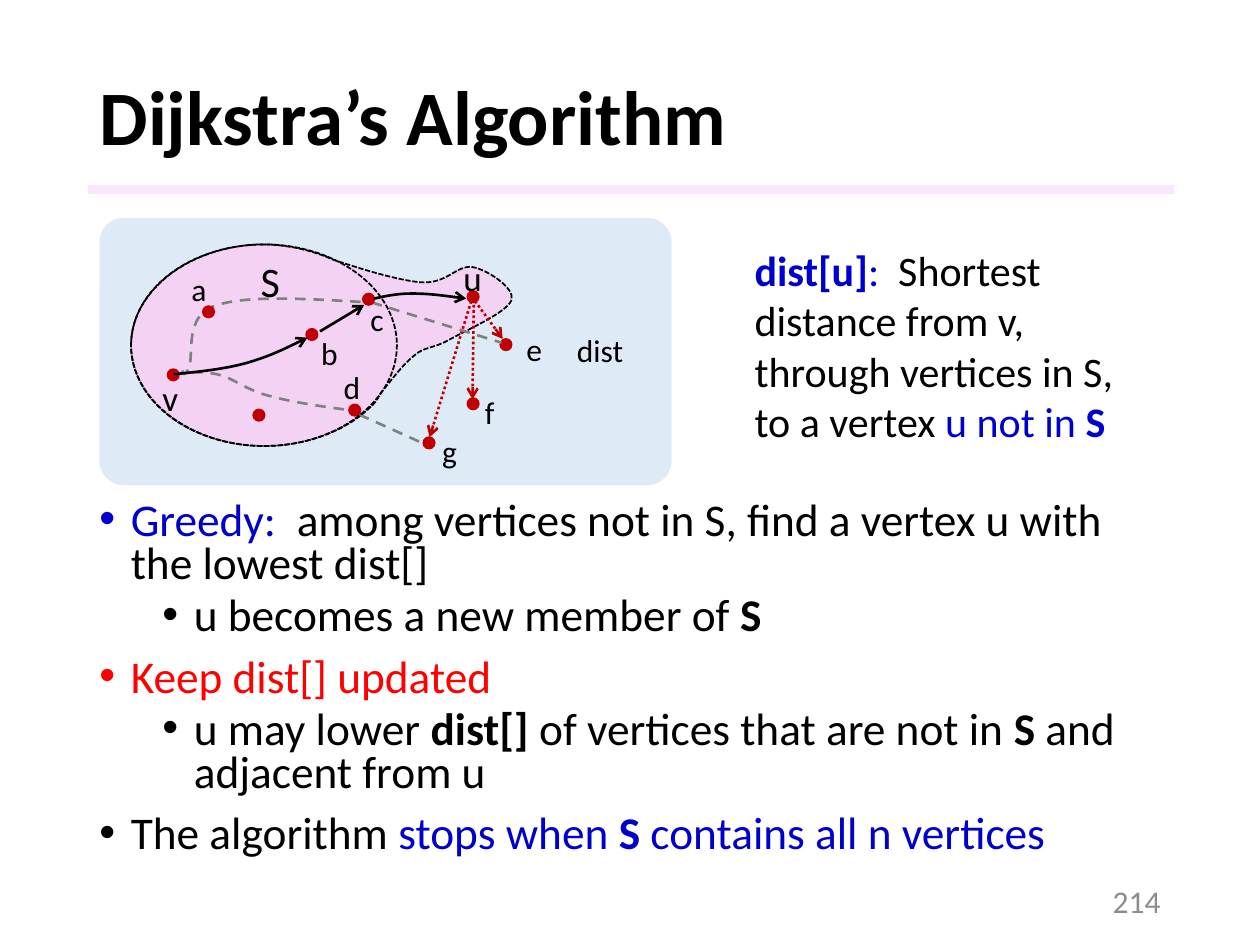
from dataclasses import dataclass
from lxml.etree import SubElement as Sub
from pptx import Presentation
from pptx.dml.color import RGBColor as Rgb
from pptx.enum.dml import MSO_LINE as Dash
from pptx.enum.shapes import MSO_CONNECTOR as Link, MSO_SHAPE as Kind
from pptx.enum.text import MSO_ANCHOR as Anchor, MSO_AUTO_SIZE as Fit, PP_ALIGN as Align
from pptx.oxml.ns import qn
from pptx.util import Pt

PX = 9144  # EMU in one px, 100 px to the inch


@dataclass(frozen=True)
class Theme:
    font: str = "Calibri"
    black: str = "000000"
    blue: str = "0000CC"
    red: str = "FF0000"
    dot: str = "C00000"
    gray: str = "808080"
    faint: str = "8C8C8C"
    pink: str = "F3D2F4"
    panel: str = "DEEBF7"
    title: float = 44
    body: float = 25.9
    note: float = 24
    node: float = 20
    label: float = 18


T = Theme()


def write(para, text, size=T.label, color=T.black, bold=False):
    run = para.add_run()
    run.text = text
    font = run.font
    font.name, font.size, font.bold = T.font, Pt(size), bold
    font.color.rgb = Rgb.from_string(color)


def emu(*nums):
    return [round(n * PX) for n in nums]


class Deck:
    def __init__(self, theme):
        self.theme = theme
        self.file = Presentation()
        self.file.slide_width, self.file.slide_height = emu(1000, 750)
        self.slide = self.file.slides.add_slide(self.file.slide_layouts[5])
        self.shapes = self.slide.shapes

    def stroke(self, line, color, width=1.5, dash=None, arrow=False):
        line.color.rgb = Rgb.from_string(color)
        line.width = Pt(width)
        if dash:
            line.dash_style = dash
        if arrow:
            Sub(line._get_or_add_ln(), qn("a:tailEnd"), type="arrow")

    def paint(self, shape, fill=None, line=None, alpha=None, **style):
        shape.shadow.inherit = False
        if fill:
            shape.fill.solid()
            shape.fill.fore_color.rgb = Rgb.from_string(fill)
            if alpha:
                tint = shape._element.spPr.find(".//" + qn("a:srgbClr"))
                Sub(tint, qn("a:alpha"), val=str(alpha * 1000))
        else:
            shape.fill.background()
        if line:
            self.stroke(shape.line, line, **style)
        else:
            shape.line.fill.background()
        return shape

    def shape(self, kind, box, **style):
        return self.paint(self.shapes.add_shape(kind, *emu(*box)), **style)

    def curve(self, pts, close=False, **style):
        """Draw cubic curves: a start, then two controls and an end for each."""
        first, *rest = [emu(*p) for p in pts]
        pen = self.shapes.build_freeform(*first, scale=1.0)
        pen.add_line_segments(rest, close=close)
        shape = pen.convert_to_shape()
        steps = list(shape._element.iter(qn("a:lnTo")))
        for i in range(0, len(steps), 3):
            bend = steps[i]
            bend.tag = qn("a:cubicBezTo")
            for step in steps[i + 1:i + 3]:
                bend.append(step[0])
                step.getparent().remove(step)
        return self.paint(shape, **style)

    def line(self, start, end, color, **style):
        link = self.shapes.add_connector(Link.STRAIGHT, *emu(*start, *end))
        self.stroke(link.line, color, **style)
        Sub(link._element.spPr, qn("a:effectLst"))

    def dot(self, x, y):
        red = self.theme.dot
        self.shape(Kind.OVAL, (x, y, 9, 9), fill=red, line=red, width=1)

    def title(self, box, text):
        head = self.shapes.title
        head.left, head.top, head.width, head.height = emu(*box)
        head.text_frame.vertical_anchor = Anchor.MIDDLE
        para = head.text_frame.paragraphs[0]
        para.alignment, para.line_spacing = Align.LEFT, 0.9
        write(para, text, size=self.theme.title, bold=True)

    def text(self, box, runs, align=Align.LEFT, wrap=False, anchor=Anchor.TOP,
             fit=Fit.SHAPE_TO_FIT_TEXT, **style):
        frame = self.shapes.add_textbox(*emu(*box)).text_frame
        frame.word_wrap, frame.vertical_anchor = wrap, anchor
        frame.auto_size = fit
        para = frame.paragraphs[0]
        para.alignment = align
        for text, extra in runs:
            write(para, text, **{**style, **extra})

    def bullets(self, box, items):
        frame = self.shapes.add_textbox(*emu(*box)).text_frame
        frame.word_wrap = True
        for i, (level, runs) in enumerate(items):
            para = frame.add_paragraph() if i else frame.paragraphs[0]
            para.level, para.line_spacing = level, 0.8
            para.space_before = Pt((5 if level else 10) if i else 0)
            props = para._p.get_or_add_pPr()
            left, hang = emu(75 if level else 25, -25)
            props.set("marL", str(left))
            props.set("indent", str(hang))
            Sub(props, qn("a:buFont"), typeface="Arial")
            Sub(props, qn("a:buChar"), char="•")
            for text, extra in runs:
                write(para, text, size=self.theme.body, **extra)


def main():
    deck = Deck(T)
    bold, blue, red = {"bold": True}, {"color": T.blue}, {"color": T.red}

    # Title and rule
    deck.shape(Kind.RECTANGLE, (70, 147, 862, 7), fill=T.pink, alpha=50)
    deck.title((69, 40, 862, 111), "Dijkstra’s Algorithm")

    # Panel and the set S growing towards u
    panel = deck.shape(Kind.ROUNDED_RECTANGLE, (79, 173, 454, 212), fill=T.panel)
    panel.adjustments[0] = 0.09
    deck.curve([(210, 194), (217, 194), (224, 195), (231, 196),
                (242, 198), (253, 201), (264, 206),
                (291, 215), (315, 222), (333, 224),
                (355, 226), (362, 210), (375, 212),
                (387, 214), (409, 229), (406, 238),
                (403, 248), (368, 263), (356, 270),
                (343, 277), (337, 275), (329, 282),
                (320, 289), (312, 300), (303, 311),
                (301, 314), (300, 316), (298, 319),
                (279, 340), (246, 354), (210, 354),
                (152, 354), (104, 318), (104, 274),
                (104, 230), (152, 194), (210, 194)],
               close=True, fill=T.pink, line=T.black, width=1, dash=Dash.SQUARE_DOT)

    # Vertices under the edges
    for spot in ((133, 293), (371, 231), (201, 325), (243, 261),
                 (371, 316), (397, 269), (336, 347)):
        deck.dot(*spot)

    # Edges from u to be updated
    for start, end in (((377, 239), (399, 269)), ((376, 242), (375, 317)),
                       ((374, 239), (341, 347))):
        deck.line(start, end, T.dot, dash=Dash.ROUND_DOT, arrow=True)

    # Other paths
    for pts in ([(138, 297), (149, 296), (159, 294), (172, 297),
                 (184, 299), (194, 309), (213, 314),
                 (231, 319), (257, 323), (282, 326)],
                [(145, 294), (145, 297), (146, 300), (150, 292),
                 (154, 283), (146, 251), (170, 243),
                 (194, 234), (243, 237), (292, 240)]):
        deck.curve(pts, line=T.gray, dash=Dash.DASH)
    for start, end in (((285, 329), (336, 352)), ((295, 240), (398, 272))):
        deck.line(start, end, T.gray, dash=Dash.DASH)

    # Vertices over the edges
    for spot in ((161, 243), (277, 321), (288, 233)):
        deck.dot(*spot)

    # Shortest path v, b, c, u
    for pts in ([(138, 297), (158, 295), (178, 293), (196, 288),
                 (213, 283), (228, 276), (244, 268)],
                [(297, 237), (306, 235), (315, 233), (327, 233),
                 (340, 233), (355, 235), (370, 237)]):
        deck.curve(pts, line=T.black, arrow=True)
    deck.line((254, 263), (289, 242), T.black, arrow=True)

    # Labels
    for name, x, y, wide, high, size in (
            ("v", 119, 294, 33, 44, T.node), ("u", 358, 199, 35, 44, T.node),
            ("S", 197, 198, 35, 50, T.note), ("a", 142, 209, 32, 40, T.label),
            ("b", 245, 260, 34, 40, T.label), ("c", 284, 233, 31, 40, T.label),
            ("d", 263, 287, 34, 40, T.label), ("e", 408, 257, 34, 40, T.label),
            ("f", 375, 307, 28, 40, T.label), ("g", 341, 338, 32, 40, T.label),
            ("dist", 448, 258, 57, 40, T.label)):
        deck.text((x, y, wide, high), [(name, {})], size=size)

    # Border of S
    deck.shape(Kind.OVAL, (104, 194, 211, 160), line=T.black, width=1,
               dash=Dash.SQUARE_DOT)

    # Meaning of dist[u]
    deck.text((589, 189, 336, 172), [
        ("dist[u]", {**blue, **bold}), (":  ", blue),
        ("Shortest distance from v, through vertices in S, to a vertex ", {}),
        ("u not in ", blue), ("S", {**blue, **bold})], wrap=True, size=T.note)

    # Steps
    deck.bullets((69, 393, 863, 300), [
        (0, [("Greedy:", blue),
             ("  among vertices not in S, find a vertex u with the lowest dist[]", {})]),
        (1, [("u becomes a new member of ", {}), ("S", bold)]),
        (0, [("Keep dist[] updated", red)]),
        (1, [("u may lower ", {}), ("dist[] ", bold),
             ("of vertices that are not in ", {}), ("S", bold),
             (" and adjacent from u", {})]),
        (0, [("The algorithm ", {}), ("stops when ", blue),
             ("S ", {**blue, **bold}), ("contains all n vertices", blue)])])

    # Page number
    deck.text((706, 695, 225, 40), [("214", {})], align=Align.RIGHT, wrap=True,
              anchor=Anchor.MIDDLE, fit=Fit.NONE, color=T.faint)
    deck.file.save("out.pptx")


if __name__ == "__main__":
    main()
